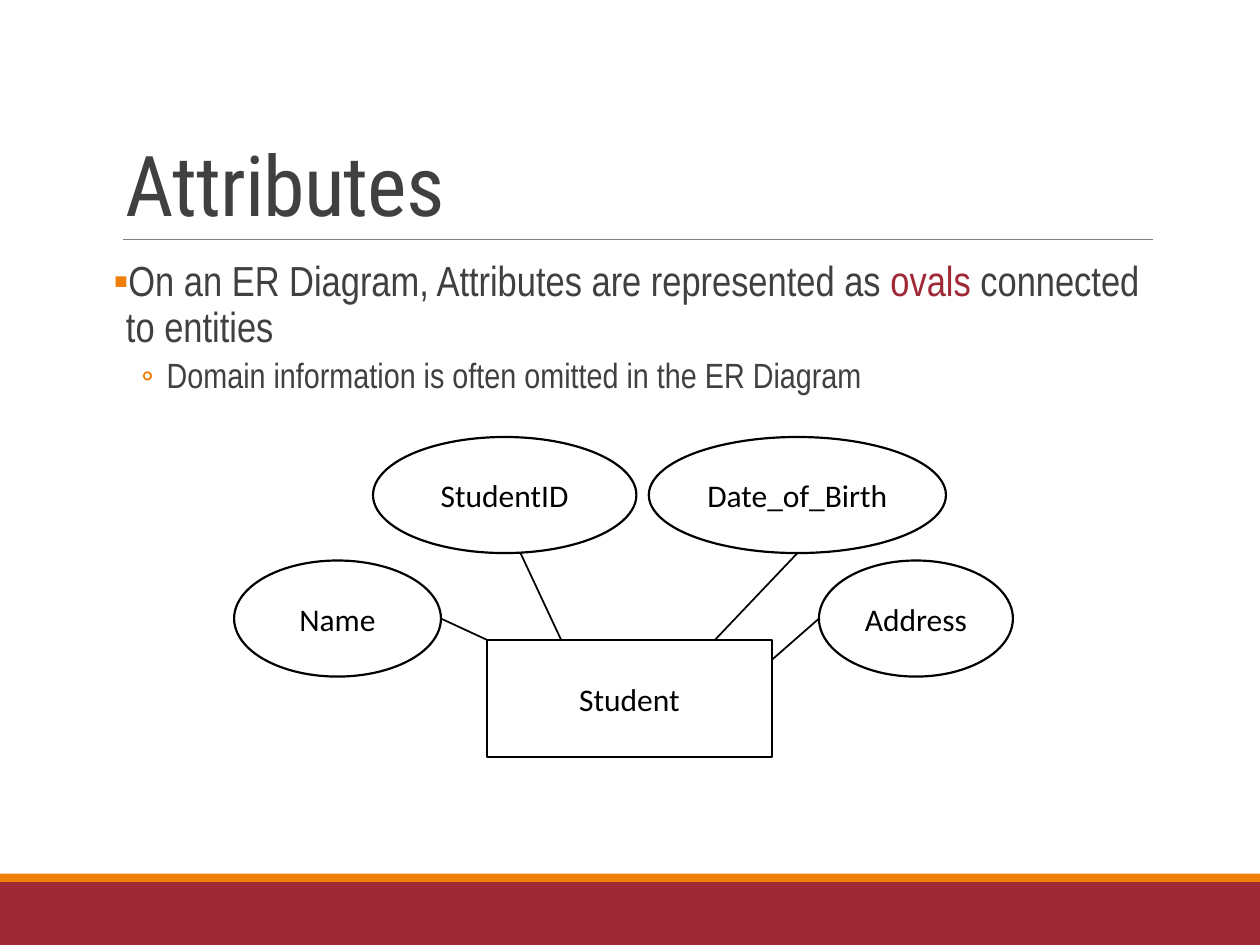
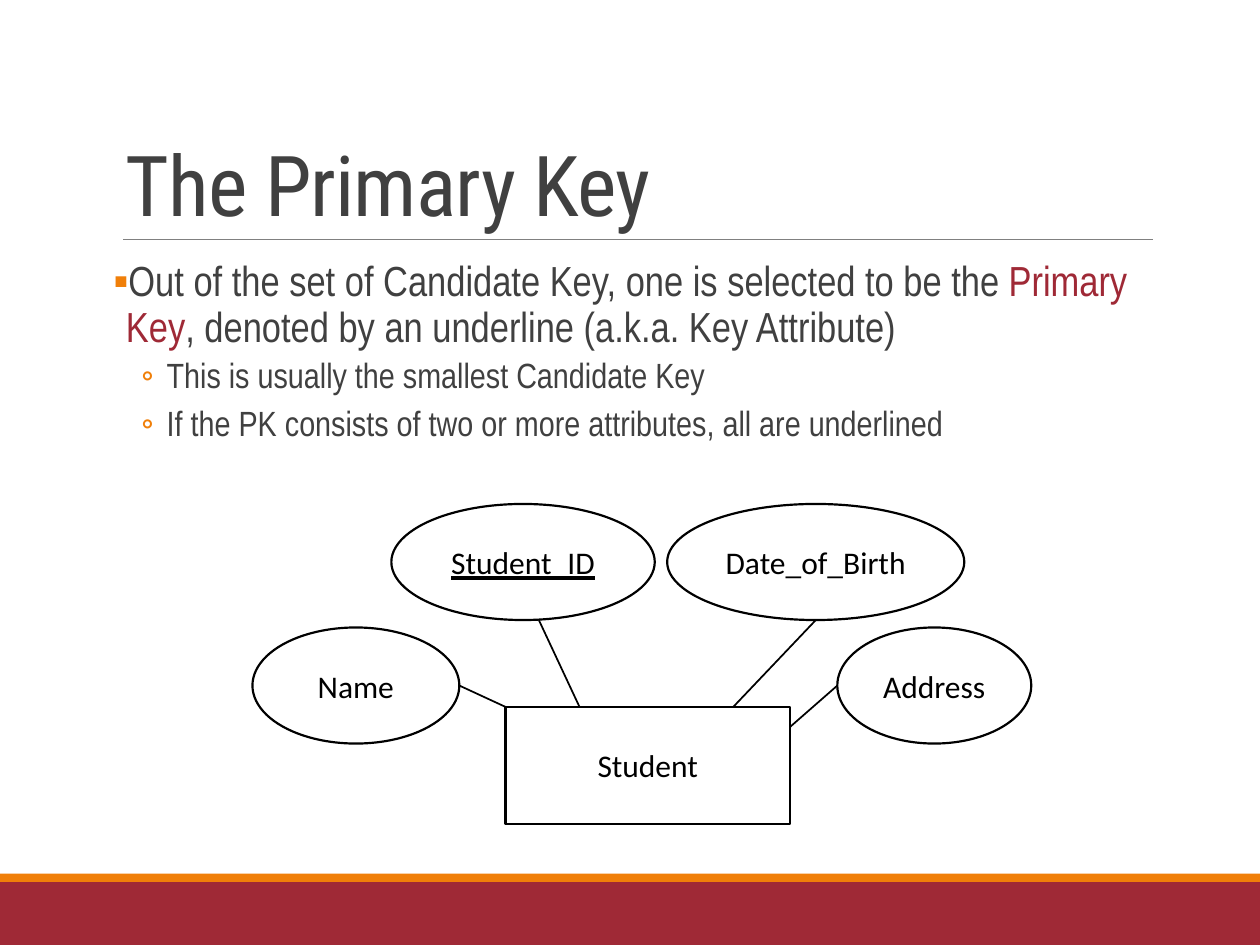
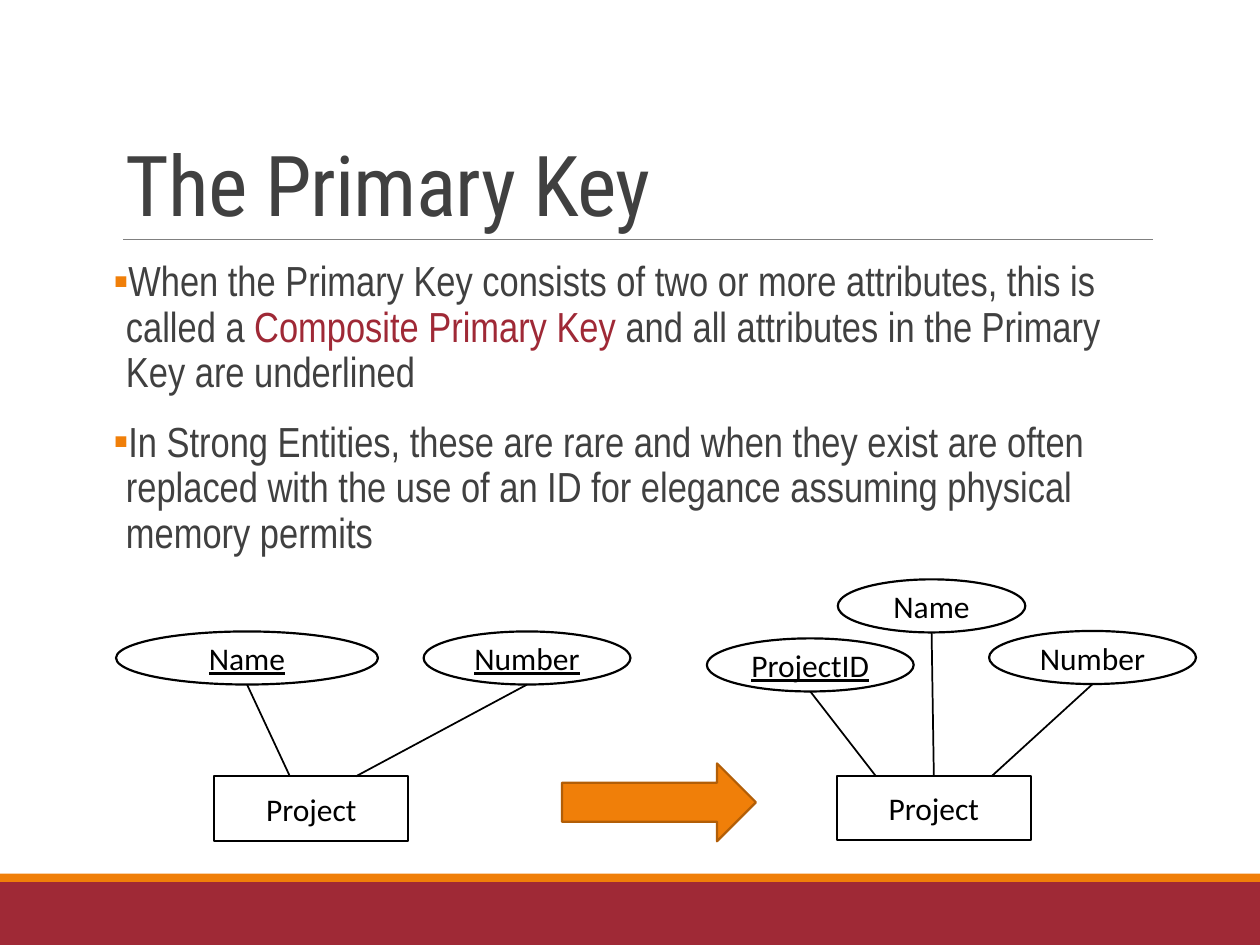
from lxml import etree
from pptx import Presentation
from pptx.dml.color import RGBColor
from pptx.enum.shapes import MSO_CONNECTOR, MSO_SHAPE
from pptx.enum.text import MSO_ANCHOR, PP_ALIGN
from pptx.oxml.ns import qn
from pptx.util import Cm, Pt

RECT = MSO_SHAPE.RECTANGLE
OVAL = MSO_SHAPE.OVAL
ARROW = MSO_SHAPE.RIGHT_ARROW
LINE = MSO_CONNECTOR.STRAIGHT
MIDDLE, BOTTOM = MSO_ANCHOR.MIDDLE, MSO_ANCHOR.BOTTOM
CENTER = PP_ALIGN.CENTER

COLORS = {
    "text": "404040", "accent": "9F2936", "orange": "F07F09", "edge": "B25E07",
    "rule": "808080", "ink": "000000", "paper": "FFFFFF",
}
TITLE_FONT, BODY_FONT, LABEL_FONT = "Roboto Condensed", "Arial Narrow", "Calibri"
WIDTH, HEIGHT = 25.4, 19.05

# Per level: bullet, size, left margin, hanging indent, space before, space after
LEVELS = [("▪", 24, 0.25, 0.25, 12, 2), ("◦", 20, 1.07, 0.51, 2, 4)]

# Boxes are left, top, width, height in cm.
TITLE_BOX = (2.29, 0.79, 20.96, 4.04)
BODY_BOX = (2.29, 5.13, 20.96, 11.18)


def color(name):
    return RGBColor.from_string(COLORS[name])


def style(run, font, size, ink):
    run.font.name = font
    run.font.size = Pt(size)
    run.font.color.rgb = color(ink)


def add_shape(slide, kind, box, fill, edge=None):
    shape = slide.shapes.add_shape(kind, *map(Cm, box))
    shape.shadow.inherit = False
    shape.fill.solid()
    shape.fill.fore_color.rgb = color(fill)
    if edge:
        shape.line.color.rgb = color(edge)
        shape.line.width = Pt(1.25)
    else:
        shape.line.fill.background()
    return shape


def add_line(slide, start, end, ink, width):
    line = slide.shapes.add_connector(LINE, *map(Cm, (*start, *end)))
    line.line.color.rgb = color(ink)
    line.line.width = Pt(width)
    etree.SubElement(line._element.spPr, qn("a:effectLst"))


def add_frame(slide, box):
    frame = slide.shapes.add_textbox(*map(Cm, box)).text_frame
    frame.word_wrap = True
    return frame


def add_bands(slide):
    add_shape(slide, RECT, (0, HEIGHT - 1.27, WIDTH, 1.27), "accent")
    add_shape(slide, RECT, (0, HEIGHT - 1.44, WIDTH, 0.17), "orange")
    add_line(slide, (2.48, 4.83), (23.25, 4.83), "rule", 0.5)


def add_title(slide, text, box):
    frame = add_frame(slide, box)
    frame.vertical_anchor = BOTTOM
    frame.text = text
    para = frame.paragraphs[0]
    para.line_spacing = 0.85
    run = para.runs[0]
    style(run, TITLE_FONT, 48, "text")
    run._r.get_or_add_rPr().set("spc", "-50")


def add_bullet(para, level):
    mark, _, margin, hang, _, _ = LEVELS[level]
    props = para._p.get_or_add_pPr()
    props.set("marL", str(Cm(margin)))
    props.set("indent", str(-Cm(hang)))
    tint = etree.SubElement(props, qn("a:buClr"))
    etree.SubElement(tint, qn("a:srgbClr"), val=COLORS["orange"])
    etree.SubElement(props, qn("a:buFont"), typeface=LABEL_FONT)
    etree.SubElement(props, qn("a:buChar"), char=mark)


def add_body(slide, points, box):
    """Write (level, text) points; text between asterisks is accented."""
    frame = add_frame(slide, box)
    frame.margin_left = frame.margin_right = 0
    for index, (level, text) in enumerate(points):
        para = frame.add_paragraph() if index else frame.paragraphs[0]
        _, size, _, _, before, after = LEVELS[level]
        para.level = level
        para.line_spacing = 0.9
        para.space_before = Pt(before if index else 0)
        para.space_after = Pt(after)
        add_bullet(para, level)
        for part, piece in enumerate(text.split("*")):
            run = para.add_run()
            run.text = piece
            style(run, BODY_FONT, size, "accent" if part % 2 else "text")


def add_node(slide, kind, text, box, key=False):
    shape = add_shape(slide, kind, box, "paper", "ink")
    frame = shape.text_frame
    frame.vertical_anchor = MIDDLE
    frame.text = text
    para = frame.paragraphs[0]
    para.alignment = CENTER
    style(para.runs[0], LABEL_FONT, 18, "ink")
    if key:
        para.runs[0].font.underline = True


def spot(box, share):
    """Point at a share of the width and height of a box."""
    left, top, width, height = box
    return left + share[0] * width, top + share[1] * height


def add_diagram(slide, origin, entity, fields):
    """Draw an entity and its (name, is key, box, start, end) attributes.

    Boxes are relative to origin; a link runs from a share of the
    attribute's box to a share of the entity's box.
    """
    def place(box):
        return origin[0] + box[0], origin[1] + box[1], *box[2:]

    name, box = entity
    base = place(box)
    add_node(slide, RECT, name, base)
    for text, key, box, start, end in fields:
        oval = place(box)
        add_node(slide, OVAL, text, oval, key)
        add_line(slide, spot(oval, start), spot(base, end), "ink", 1)


def add_student(slide, origin, label, key):
    tall = 2.34
    add_diagram(slide, origin, ("Student", (5.1, 4.09, 5.74, 2.36)), [
        ("Name", False, (0, 2.49, 4.17, tall), (1, 0.5), (0, 0)),
        (label, key, (2.8, 0, 5.31, tall), (0.56, 1), (0.26, 0)),
        ("Address", False, (11.79, 2.49, 3.91, tall), (0, 0.5), (1, 0.17)),
        ("Date_of_Birth", False, (8.36, 0, 5.99, tall), (0.5, 1), (0.8, 0)),
    ])


def add_project(slide, origin, base, ovals):
    """Draw a project entity whose links all drop from its attributes."""
    add_diagram(slide, origin, ("Project", (*base, 3.91, 1.3)), [
        (text, key, (left, top, width, 1.07), (0.5, 1), (end, 0))
        for text, key, left, top, width, end in ovals
    ])


def add_page(deck, title, points):
    slide = deck.slides.add_slide(deck.slide_layouts[6])
    add_bands(slide)
    add_title(slide, title, TITLE_BOX)
    add_body(slide, points, BODY_BOX)
    return slide


def main():
    deck = Presentation()
    deck.slide_width, deck.slide_height = Cm(WIDTH), Cm(HEIGHT)

    slide = add_page(deck, "Attributes", [
        (0, "On an ER Diagram, Attributes are represented as *ovals* connected to entities"),
        (1, "Domain information is often omitted in the ER Diagram"),
    ])
    add_student(slide, (4.72, 8.81), "StudentID", False)

    slide = add_page(deck, "The Primary Key", [
        (0, "Out of the set of Candidate Key, one is selected to be the *Primary Key*, "
            "denoted by an underline (a.k.a. Key Attribute)"),
        (1, "This is usually the smallest Candidate Key"),
        (1, "If the PK consists of two or more attributes, all are underlined"),
    ])
    add_student(slide, (5.09, 10.16), "Student_ID", True)

    slide = add_page(deck, "The Primary Key", [
        (0, "When the Primary Key consists of two or more attributes, this is called a "
            "*Composite Primary Key *and all attributes in the Primary Key are underlined"),
        (0, "In Strong Entities, these are rare and when they exist are often replaced "
            "with the use of an ID for elegance assuming physical memory permits"),
    ])
    add_project(slide, (2.34, 12.73), (1.98, 2.92), [
        ("Number", True, 6.2, 0, 4.17, 0.73),
        ("Name", True, 0, 0, 5.28, 0.39),
    ])
    add_project(slide, (14.25, 11.68), (2.62, 3.96), [
        ("Number", False, 5.69, 1.04, 4.17, 0.8),
        ("Name", False, 2.64, 0, 3.78, 0.5),
        ("ProjectID", True, 0, 1.19, 4.17, 0.2),
    ])
    add_shape(slide, ARROW, (11.33, 15.39, 3.91, 1.57), "orange", "edge")

    deck.save("out.pptx")


if __name__ == "__main__":
    main()
